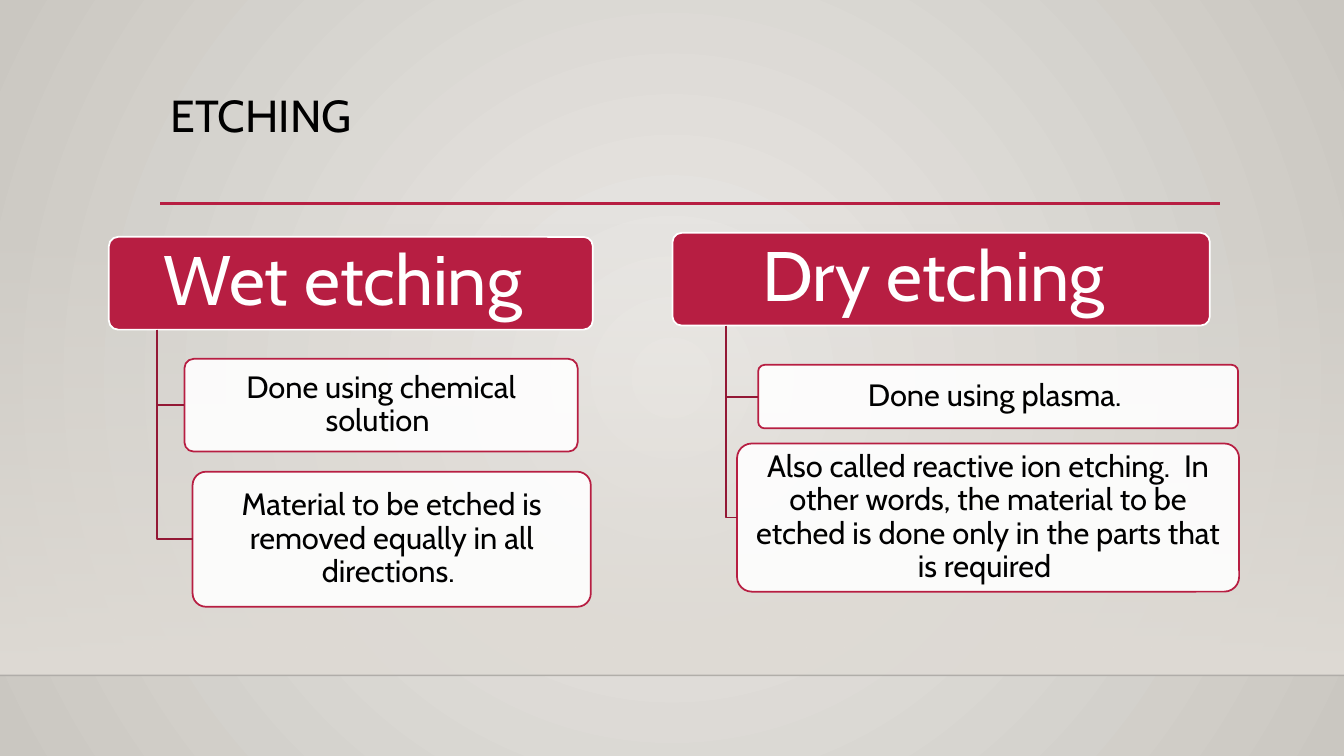
from dataclasses import dataclass

import lxml.etree
import pptx
import pptx.dml.color
import pptx.enum.shapes
import pptx.enum.text
import pptx.oxml.ns
import pptx.util

Inches = pptx.util.Inches
Pt = pptx.util.Pt
qn = pptx.oxml.ns.qn
SHAPES = pptx.enum.shapes.MSO_SHAPE
ALIGN = pptx.enum.text.PP_ALIGN
ANCHOR = pptx.enum.text.MSO_ANCHOR


@dataclass(frozen=True)
class Theme:
    font: str = "Cabin"
    accent: str = "B71E42"
    branch: str = "931835"
    white: str = "FFFFFF"
    black: str = "000000"
    glow: str = "ECEAE7"
    edge: str = "CAC7C1"
    wall: str = "DFDBD5"
    floor_line: str = "000001"
    title_size: int = 32
    header_size: int = 50
    detail_size: int = 22
    outline: float = 1.25


def rgb(value):
    return pptx.dml.color.RGBColor.from_string(value)


def set_opacity(element, percent):
    """Give the first RGB colour inside the element an alpha value."""
    color = element.find(".//" + qn("a:srgbClr"))
    lxml.etree.SubElement(color, qn("a:alpha"), val=str(percent * 1000))


class EtchingSlide:
    def __init__(self, page, theme):
        self.page = page
        self.theme = theme

    def color_stops(self, fill, colors):
        fill.gradient()
        for stop, color, position in zip(fill.gradient_stops, colors, (0, 1)):
            stop.color.rgb = rgb(color)
            stop.position = position

    def background(self):
        self.color_stops(self.page.background.fill, (self.theme.glow, self.theme.edge))
        gradient = self.page.element.find(".//" + qn("a:gradFill"))
        gradient.remove(gradient.find(qn("a:lin")))
        circle = lxml.etree.SubElement(gradient, qn("a:path"), {"path": "circle"})
        sides = dict.fromkeys("ltrb", "50000")
        lxml.etree.SubElement(circle, qn("a:fillToRect"), sides)

    def wall(self, left, top, width, height):
        """Draw the panel that fades in downwards over the background."""
        panel = self.page.shapes.add_shape(
            SHAPES.RECTANGLE, *map(Inches, (left, top, width, height)))
        panel.shadow.inherit = False
        panel.line.fill.background()
        self.color_stops(panel.fill, (self.theme.wall, self.theme.wall))
        panel.fill.gradient_angle = 270
        set_opacity(panel.element.spPr, 0)

    def rule(self, left, right, y, color, width):
        line = self.page.shapes.add_connector(
            pptx.enum.shapes.MSO_CONNECTOR.STRAIGHT,
            *map(Inches, (left, y, right, y)))
        line.line.color.rgb = rgb(color)
        line.line.width = Pt(width)
        lxml.etree.SubElement(line.element.spPr, qn("a:effectLst"))
        return line

    def set_text(self, box, text, size, color, align, frame_format):
        frame = box.text_frame
        for name, value in frame_format.items():
            setattr(frame, name, value)
        para = frame.paragraphs[0]
        para.alignment = align
        para.line_spacing = 0.9
        span = para.add_run()
        span.text = text
        font_format = {"name": self.theme.font, "size": Pt(size)}
        for name, value in font_format.items():
            setattr(span.font, name, value)
        span.font.color.rgb = rgb(color)

    def title(self, text, left, top, width, height):
        box = self.page.shapes.add_textbox(*map(Inches, (left, top, width, height)))
        self.set_text(box, text, self.theme.title_size, self.theme.black,
                      ALIGN.LEFT, {"word_wrap": True})

    def card(self, text, place, size, colors, insets):
        """Draw a rounded box; colors are its fill, outline and text."""
        fill, outline, ink = colors
        box = self.page.shapes.add_shape(SHAPES.ROUNDED_RECTANGLE, *map(Inches, place))
        box.shadow.inherit = False
        box.adjustments[0] = 0.1
        box.fill.solid()
        box.fill.fore_color.rgb = rgb(fill)
        box.line.color.rgb = rgb(outline)
        box.line.width = Pt(self.theme.outline)
        side, end = map(Inches, insets)
        self.set_text(box, text, size, ink, ALIGN.CENTER, {
            "word_wrap": True, "vertical_anchor": ANCHOR.MIDDLE,
            "margin_left": side, "margin_right": side,
            "margin_top": end, "margin_bottom": end})
        return box

    def branch(self, header, detail):
        """Draw the elbow from a tenth along the header to the detail's left side."""
        trunk = header.left + header.width // 10
        start = header.top + header.height
        middle = detail.top + detail.height // 2
        builder = self.page.shapes.build_freeform(trunk, start)
        builder.add_line_segments([(trunk, middle), (detail.left, middle)], close=False)
        elbow = builder.convert_to_shape()
        elbow.shadow.inherit = False
        elbow.fill.background()
        elbow.line.color.rgb = rgb(self.theme.branch)
        elbow.line.width = Pt(self.theme.outline)

    def tree(self, heading, place, details):
        theme = self.theme
        header = self.card(heading, place, theme.header_size,
                           (theme.accent, theme.white, theme.white), (0.13, 0.1))
        for text, detail_place in details:
            detail = self.card(text, detail_place, theme.detail_size,
                               (theme.white, theme.accent, theme.black), (0.08, 0.06))
            set_opacity(detail.element.spPr, 90)
            self.branch(header, detail)


# Heading, its box, then each detail with its box (left, top, width, height)
TREES = [
    ("Wet etching ", (1.08, 2.35, 4.8, 0.92), [
        ("Done using chemical solution ", (1.83, 3.56, 3.9, 0.92)),
        ("Material to be etched is removed equally in all directions. ",
         (1.91, 4.68, 3.95, 1.34)),
    ]),
    ("Dry etching ", (6.67, 2.31, 5.33, 0.92), [
        ("Done using plasma. ", (7.52, 3.62, 4.76, 0.63)),
        ("Also called reactive ion etching.  In other words, the material to be "
         "etched is done only in the parts that is required ",
         (7.31, 4.4, 4.98, 1.47)),
    ]),
]


def main():
    deck = pptx.Presentation()
    deck.slide_width = Inches(13.33)
    deck.slide_height = Inches(7.5)
    theme = Theme()
    slide = EtchingSlide(deck.slides.add_slide(deck.slide_layouts[6]), theme)
    slide.background()
    slide.wall(0, 2.21, 13.33, 4.49)
    floor = slide.rule(0, 13.33, 6.7, theme.floor_line, 1)
    set_opacity(floor.element.spPr, 20)
    slide.rule(1.59, 12.1, 2.02, theme.accent, 2.5)
    slide.title("ETCHING", 1.59, 0.88, 10.5, 0.92)
    for heading, place, details in TREES:
        slide.tree(heading, place, details)
    deck.save("out.pptx")


if __name__ == "__main__":
    main()
